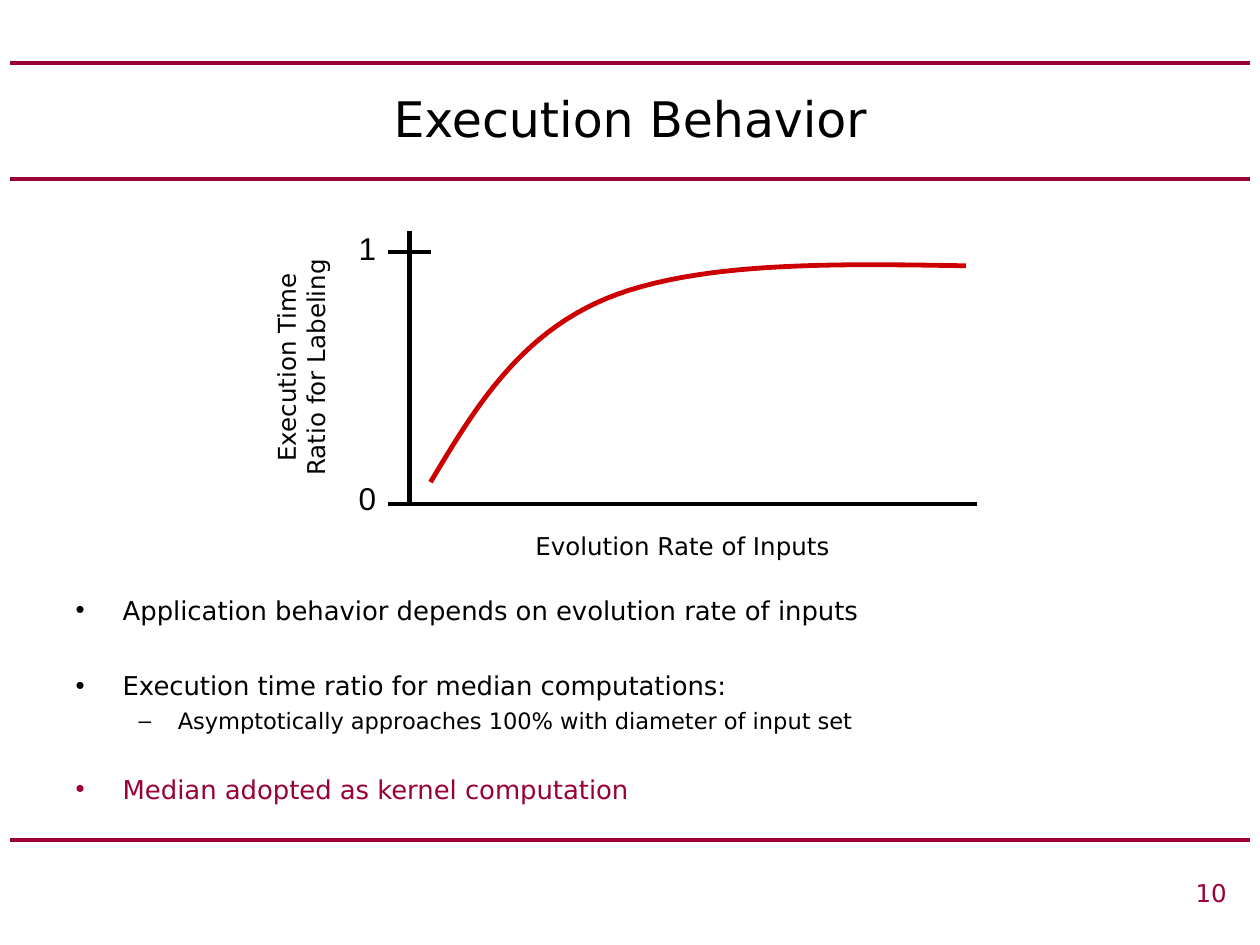
"""Builds the Execution Behavior slide with its sketched curve and bullet list."""
import lxml.etree
import pptx
import pptx.dml.color
import pptx.enum.shapes
import pptx.enum.text
import pptx.oxml.ns
import pptx.util

Cm = pptx.util.Cm
Pt = pptx.util.Pt
qn = pptx.oxml.ns.qn
Align = pptx.enum.text.PP_ALIGN
Anchor = pptx.enum.text.MSO_ANCHOR

COLORS = {"text": "000000", "accent": "990033", "curve": "CC0000"}
SANS = "DejaVu Sans"
CURVE = [
    [(8.68, 9.72), (9.56, 8.25), (10.45, 6.76), (12.22, 6.02)],
    [(12.22, 6.02), (14.02, 5.28), (16.74, 5.31), (19.47, 5.36)],
]
LEVELS = [("•", 0.95, 0.95, 14.8), ("–", 2.06, 0.79, 12.9)]
BULLETS = [
    ("Application behavior depends on evolution rate of inputs", 0, 0, "text"),
    ("Execution time ratio for median computations:", 0, 25.5, "text"),
    ("Asymptotically approaches 100% with diameter of input set", 1, 3.5, "text"),
    ("Median adopted as kernel computation", 0, 22.5, "accent"),
]


def bezier_points(start, first, second, end, steps=24):
    """Return points along a cubic curve, without its start."""
    points = []
    for step in range(1, steps + 1):
        t = step / steps
        weights = ((1 - t) ** 3, 3 * t * (1 - t) ** 2, 3 * t * t * (1 - t), t ** 3)
        corners = (start, first, second, end)
        points.append(tuple(sum(w * c[axis] for w, c in zip(weights, corners))
                            for axis in (0, 1)))
    return points


class SlideBuilder:
    """Holds the style and the current slide."""

    def __init__(self, deck):
        self.slide = deck.slides.add_slide(deck.slide_layouts[1])

    def color(self, name):
        return pptx.dml.color.RGBColor.from_string(COLORS[name])

    def place(self, shape, left, top, width, height):
        shape.left, shape.top = Cm(left), Cm(top)
        shape.width, shape.height = Cm(width), Cm(height)

    def style(self, para, size, color="text", font=SANS, align=Align.LEFT, before=0):
        para.alignment = align
        para.space_before = Pt(before)
        para.font.name = font
        para.font.size = Pt(size)
        para.font.color.rgb = self.color(color)

    def title(self, text, *area):
        box = self.slide.shapes.title
        self.place(box, *area)
        box.text_frame.text = text
        box.text_frame.vertical_anchor = Anchor.MIDDLE
        box.text_frame.auto_size = pptx.enum.text.MSO_AUTO_SIZE.NONE
        self.style(box.text_frame.paragraphs[0], 28, align=Align.CENTER)

    def label(self, text, *area, size=14, rotation=0, **style):
        box = self.slide.shapes.add_textbox(0, 0, 0, 0)
        self.place(box, *area)
        box.rotation = rotation
        box.text_frame.word_wrap = True
        box.text_frame.text = text
        self.style(box.text_frame.paragraphs[0], size,
                   **{"align": Align.CENTER, **style})

    def line(self, x1, y1, x2, y2, color="text", width=2.75):
        line = self.slide.shapes.add_connector(
            pptx.enum.shapes.MSO_CONNECTOR.STRAIGHT, Cm(x1), Cm(y1), Cm(x2), Cm(y2))
        line.line.color.rgb = self.color(color)
        line.line.width = Pt(width)
        properties = line._element.find(qn("p:spPr"))
        lxml.etree.SubElement(properties, qn("a:effectLst"))

    def curve(self, segments, color):
        start = segments[0][0]
        builder = self.slide.shapes.build_freeform(Cm(start[0]), Cm(start[1]))
        points = [point for segment in segments for point in bezier_points(*segment)]
        builder.add_line_segments([(Cm(x), Cm(y)) for x, y in points], close=False)
        shape = builder.convert_to_shape()
        shape.shadow.inherit = False
        shape.fill.background()
        shape.line.color.rgb = self.color(color)
        shape.line.width = Pt(2.75)

    def bullets(self, items, *area):
        box = self.slide.placeholders[1]
        self.place(box, *area)
        frame = box.text_frame
        frame.auto_size = pptx.enum.text.MSO_AUTO_SIZE.NONE
        for index, (text, level, before, color) in enumerate(items):
            para = frame.add_paragraph() if index else frame.paragraphs[0]
            para.text = text
            para.level = level
            mark, margin, hanging, size = LEVELS[level]
            properties = para._p.get_or_add_pPr()
            properties.set("marL", str(Cm(margin)))
            properties.set("indent", str(-Cm(hanging)))
            tint = lxml.etree.SubElement(properties, qn("a:buClr"))
            lxml.etree.SubElement(tint, qn("a:srgbClr"), val=COLORS[color])
            lxml.etree.SubElement(properties, qn("a:buChar"), char=mark)
            self.style(para, size, color, before=before)


def main():
    deck = pptx.Presentation()
    deck.slide_width, deck.slide_height = Cm(25.4), Cm(19.05)
    page = SlideBuilder(deck)
    for y in (16.93, 3.6, 1.27):
        page.line(0.2, y, 25.2, y, "accent", 2.25)
    page.title("Execution Behavior", 1.27, 1.27, 22.86, 2.2)
    page.line(8.25, 4.65, 8.25, 10.16)
    page.line(7.83, 5.08, 8.68, 5.08)
    page.line(7.83, 10.16, 19.69, 10.16)
    page.label("Evolution Rate of Inputs", 9.74, 10.58, 8.04, 0.86)
    page.label("Execution Time Ratio for Labeling", 3.53, 6.68, 5.08, 1.45, rotation=270)
    for text, top in (("1", 4.5), ("0", 9.53)):
        page.label(text, 6.77, top, 1.27, 1.02, size=18, font="Arial")
    page.curve(CURVE, "curve")
    page.bullets(BULLETS, 1.27, 11.85, 22.86, 4.88)
    page.label("10", 7.2, 17.57, 17.78, 0.85, color="accent", align=Align.RIGHT)
    deck.save("out.pptx")


if __name__ == "__main__":
    main()
